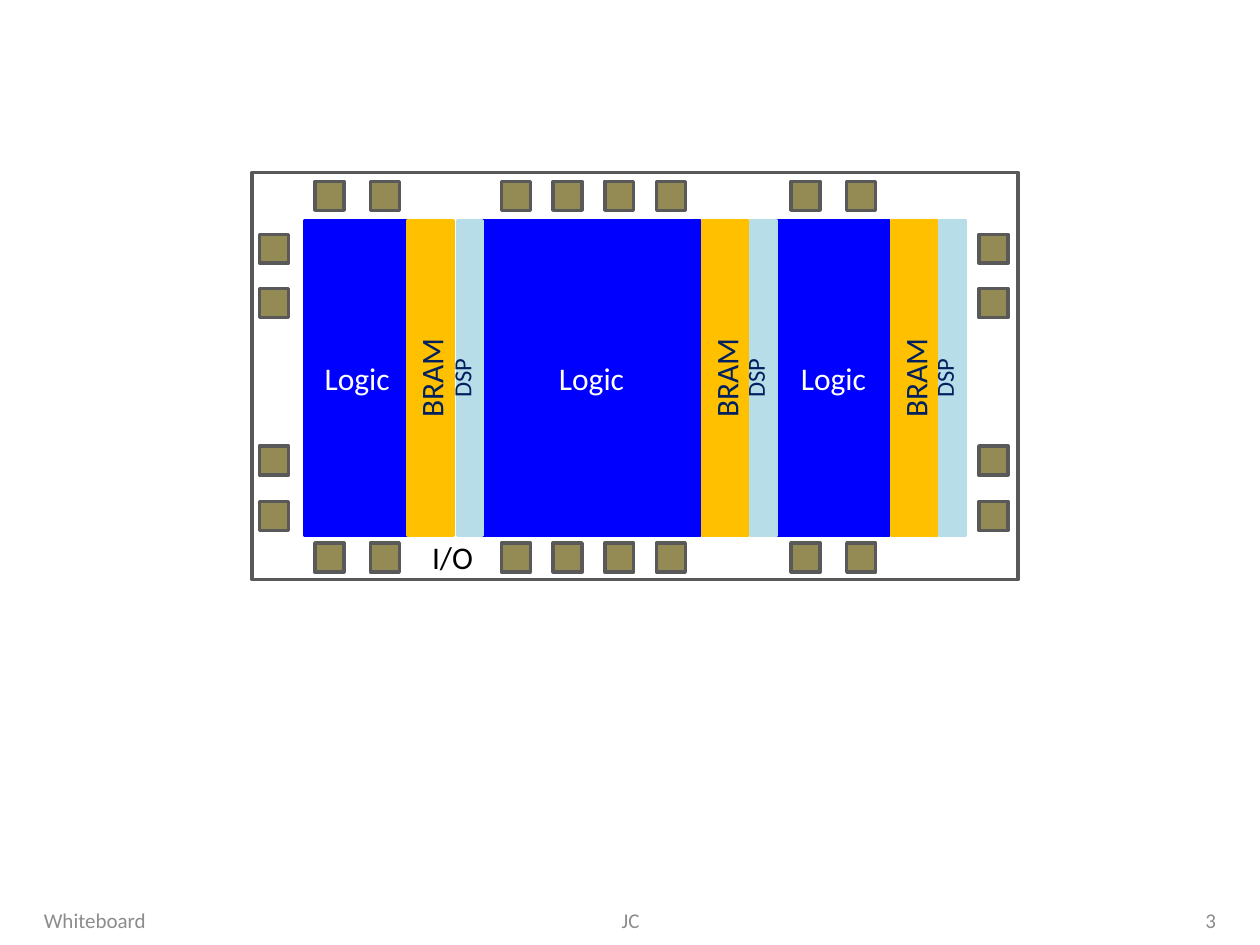
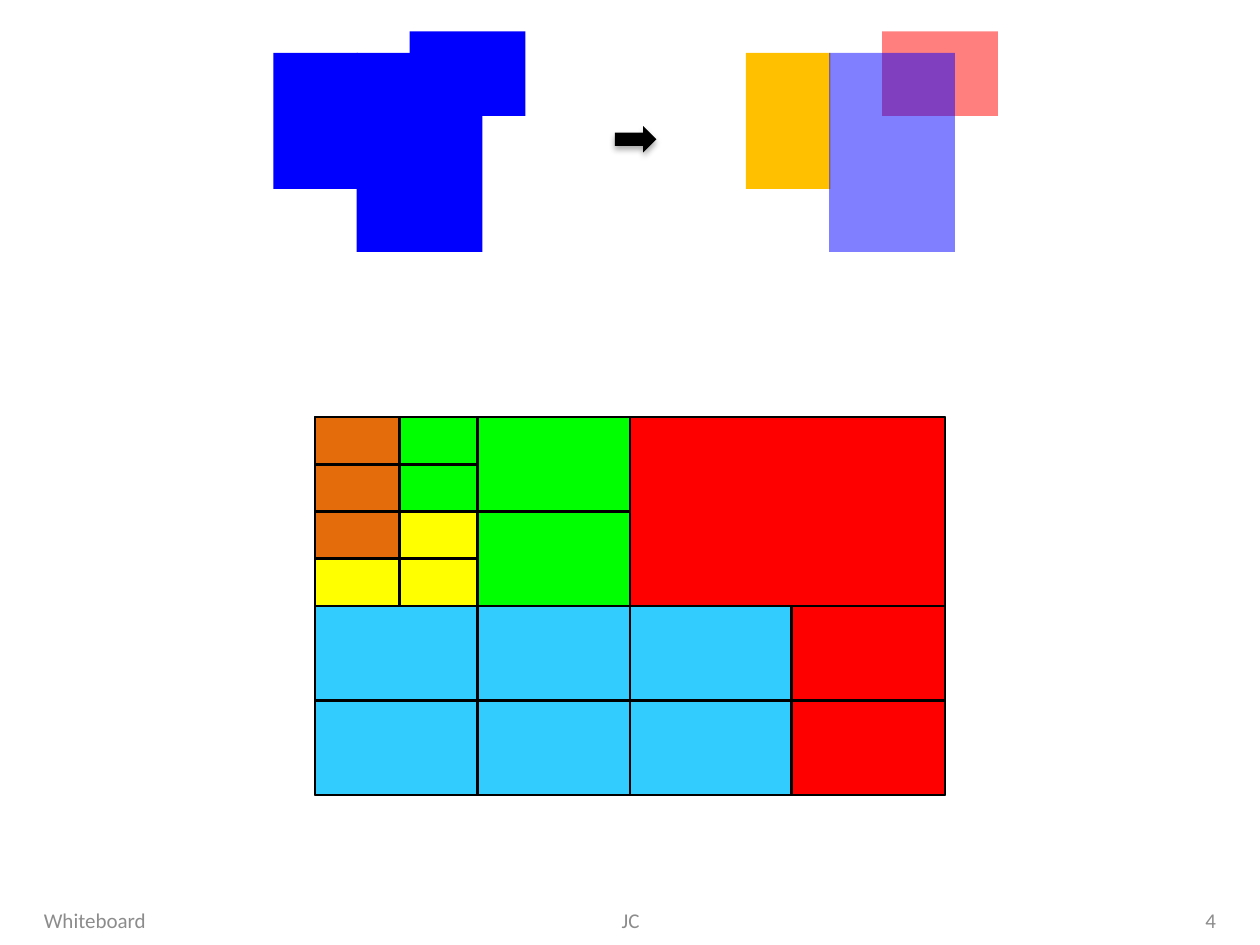
from dataclasses import dataclass
from itertools import product

from lxml.etree import SubElement
from pptx import Presentation
from pptx.dml.color import RGBColor
from pptx.enum.shapes import MSO_CONNECTOR as Connector, MSO_SHAPE as Shape
from pptx.enum.text import MSO_ANCHOR as Anchor, MSO_AUTO_SIZE as AutoSize, PP_ALIGN as Align
from pptx.oxml.ns import qn
from pptx.util import Inches, Pt


@dataclass(frozen=True)
class Theme:
    font: str = "Calibri"
    footer_size: int = 12
    label_size: int = 18
    narrow_size: int = 14
    chip_line: float = 2
    tile_line: float = 1.5
    black: str = "000000"
    white: str = "FFFFFF"
    navy: str = "002060"
    grey: str = "8C8C8C"
    outline: str = "595959"
    pad: str = "948A54"
    blue: str = "0000FF"
    amber: str = "FFC000"
    ice: str = "B7DEE8"
    red: str = "FF0000"
    orange: str = "E46C0A"
    yellow: str = "FFFF00"
    green: str = "00FF00"
    sky: str = "33CCFF"


THEME = Theme()
SLIDE_SIZE = (10, 7.5)

# Footer: text, left, width, alignment
FOOTER_TOP, FOOTER_HEIGHT = 7.1, 0.4
FOOTER = [("Whiteboard", 0.25, 2.33, Align.LEFT), ("JC", 3.42, 3.17, Align.CENTER)]
PAGE_NUMBER = (7.42, 2.33, Align.RIGHT)

# Chip floorplan
CHIP = (2, 1.37, 6.08, 3.23)
BLOCK_TOP, BLOCK_HEIGHT = 1.75, 2.5
BLOCK_COLOURS = {  # fill, text
    "Logic": (THEME.blue, THEME.white),
    "BRAM": (THEME.amber, THEME.navy),
    "DSP": (THEME.ice, THEME.navy),
}
BLOCKS = [  # label, left, width
    ("Logic", 2.42, 0.83), ("Logic", 3.83, 1.73), ("Logic", 6.17, 0.89),
    ("BRAM", 3.24, 0.36), ("DSP", 3.63, 0.2),
    ("BRAM", 5.58, 0.36), ("DSP", 5.96, 0.2),
    ("BRAM", 7.08, 0.36), ("DSP", 7.46, 0.2),
]
PAD_SIZE = 0.23
PAD_COLUMNS = [2.5, 2.94, 3.98, 4.39, 4.8, 5.21, 6.28, 6.72]
PAD_ROWS = [1.86, 2.29, 3.54, 3.98]
PAD_TOP_BOTTOM = [1.44, 4.31]
PAD_LEFT_RIGHT = [2.06, 7.77]
IO_LABEL = ("I/O", (3.43, 4.27, 0.33, 0.3))

# Overlapping regions: box, colour once split, opacity once split
REGIONS = [
    ((2.17, 0.42, 0.67, 1.08), THEME.amber, 100),
    ((3.25, 0.25, 0.92, 0.67), THEME.red, 50),
    ((2.83, 0.42, 1, 1.58), THEME.blue, 50),
]
SPLIT_OFFSET = 3.75
SPLIT_ARROW = (4.88, 1, 0.33, 0.21)

# Tiling: grid columns are uneven, grid rows are equal eighths
COLUMNS = [2.5, 3.17, 3.79, 5, 6.28, 7.5]
ROWS = [3.31 + 3 / 8 * row for row in range(9)]
TILES = {  # name: (first column, first row, last column, last row), fill
    "orange": ((0, 0, 1, 3), THEME.orange),
    "yellow corner": ((0, 3, 1, 4), THEME.yellow),
    "yellow": ((1, 2, 2, 4), THEME.yellow),
    "small green": ((1, 0, 2, 2), THEME.green),
    "green": ((2, 0, 3, 4), THEME.green),
    "sky": ((0, 4, 4, 8), THEME.sky),
    "low red": ((4, 4, 5, 8), THEME.red),
    "red": ((3, 0, 5, 4), THEME.red),
    "frame": ((0, 0, 5, 8), None),
}
TOP, LEFT, BOTTOM, RIGHT = range(4)
CUTS = [  # from (column, row), to (column, row), joint at start, joint at end
    ((3, 0), (3, 8), ("frame", TOP), ("frame", BOTTOM)),
    ((0, 4), (5, 4), ("frame", LEFT), ("frame", RIGHT)),
    ((2, 0), (2, 4), None, None),
    ((3, 2), (0, 2), ("green", RIGHT), None),
    ((2, 4), (2, 8), None, None),
    ((3, 6), (0, 6), None, ("sky", LEFT)),
    ((4, 4), (4, 8), None, None),
    ((5, 6), (3, 6), ("low red", RIGHT), None),
    ((1, 0), (1, 4), None, None),
    ((2, 3), (0, 3), ("yellow", RIGHT), None),
    ((2, 1), (0, 1), ("small green", RIGHT), None),
]


def rgb(colour):
    return RGBColor.from_string(colour)


def add_box(shapes, box, fill=None, line=None, width=1, kind=Shape.RECTANGLE):
    shape = shapes.add_shape(kind, *map(Inches, box))
    shape.shadow.inherit = False
    if fill:
        shape.fill.solid()
        shape.fill.fore_color.rgb = rgb(fill)
    else:
        shape.fill.background()
    if line:
        shape.line.color.rgb = rgb(line)
        shape.line.width = Pt(width)
    else:
        shape.line.fill.background()
    return shape


def write(frame, text, size, colour, align=Align.LEFT):
    paragraph = frame.paragraphs[0]
    paragraph.text = text
    paragraph.alignment = align
    paragraph.font.name = THEME.font
    paragraph.font.size = Pt(size)
    paragraph.font.color.rgb = rgb(colour)
    return paragraph


def set_opacity(shape, percent):
    colour = shape.element.spPr.find(qn("a:solidFill"))[0]
    SubElement(colour, qn("a:alpha"), val=str(percent * 1000))


def drop_shadow(shape):
    effects = shape.element.spPr.find(qn("a:effectLst"))
    shadow = SubElement(effects, qn("a:outerShdw"), blurRad=str(Pt(3.5)),
                        dist=str(Pt(2.2)), dir="5400000", rotWithShape="0")
    colour = SubElement(shadow, qn("a:srgbClr"), val=THEME.black)
    SubElement(colour, qn("a:alpha"), val="32000")


def add_slide(deck, number):
    """Add a blank slide with the shared footer."""
    slide = deck.slides.add_slide(deck.slide_layouts[6])
    for text, left, width, align in [*FOOTER, (str(number), *PAGE_NUMBER)]:
        footer = slide.shapes.add_textbox(
            *map(Inches, (left, FOOTER_TOP, width, FOOTER_HEIGHT))).text_frame
        footer.word_wrap = True
        footer.vertical_anchor = Anchor.MIDDLE
        write(footer, text, THEME.footer_size, THEME.grey, align)
    return slide


def add_block(shapes, label, left, width):
    fill, colour = BLOCK_COLOURS[label]
    block = add_box(shapes, (left, BLOCK_TOP, width, BLOCK_HEIGHT),
                    fill, fill, THEME.chip_line).text_frame
    block.vertical_anchor = Anchor.MIDDLE
    narrow = label == "DSP"
    size = THEME.narrow_size if narrow else THEME.label_size
    paragraph = write(block, label, size, colour, Align.CENTER)
    if label != "Logic":
        block._txBody.bodyPr.set("vert", "vert270")
    if narrow:
        block.vertical_anchor = Anchor.BOTTOM
        block.margin_top = block.margin_bottom = 0
        paragraph.line_spacing = Pt(12)


def draw_floorplan(slide):
    shapes = slide.shapes.add_group_shape().shapes
    for block in BLOCKS:
        add_block(shapes, *block)
    edge_pads = [(left, top) for top, left in product(PAD_TOP_BOTTOM, PAD_COLUMNS)]
    for left, top in [*edge_pads, *product(PAD_LEFT_RIGHT, PAD_ROWS)]:
        add_box(shapes, (left, top, PAD_SIZE, PAD_SIZE),
                THEME.pad, THEME.outline, THEME.chip_line)
    add_box(shapes, CHIP, None, THEME.outline, THEME.chip_line)

    text, box = IO_LABEL
    io = shapes.add_textbox(*map(Inches, box)).text_frame
    io.margin_left = io.margin_top = io.margin_right = io.margin_bottom = 0
    io.word_wrap = False
    io.auto_size = AutoSize.SHAPE_TO_FIT_TEXT
    write(io, text, THEME.label_size, THEME.black)


def draw_split(slide):
    """Show one merged outline turning into its separate regions."""
    shapes = slide.shapes.add_group_shape().shapes
    for box, _, _ in REGIONS:
        add_box(shapes, box, THEME.blue)
    drop_shadow(add_box(shapes, SPLIT_ARROW, THEME.black, kind=Shape.RIGHT_ARROW))
    for (left, *rest), colour, opacity in REGIONS:
        region = add_box(shapes, (left + SPLIT_OFFSET, *rest), colour)
        if opacity < 100:
            set_opacity(region, opacity)


def draw_tiling(slide):
    shapes = slide.shapes.add_group_shape().shapes
    tiles = {}
    for name, ((first_col, first_row, last_col, last_row), fill) in TILES.items():
        left, top = COLUMNS[first_col], ROWS[first_row]
        box = (left, top, COLUMNS[last_col] - left, ROWS[last_row] - top)
        tiles[name] = add_box(shapes, box, fill, THEME.black, THEME.tile_line)

    for (col_a, row_a), (col_b, row_b), start, end in CUTS:
        points = (COLUMNS[col_a], ROWS[row_a], COLUMNS[col_b], ROWS[row_b])
        cut = shapes.add_connector(Connector.STRAIGHT, *map(Inches, points))
        cut.line.color.rgb = rgb(THEME.black)
        cut.line.width = Pt(THEME.tile_line)
        SubElement(cut.element.spPr, qn("a:effectLst"))
        for joint, connect in ((start, cut.begin_connect), (end, cut.end_connect)):
            if joint:
                name, side = joint
                connect(tiles[name], side)


def main():
    deck = Presentation()
    deck.slide_width, deck.slide_height = map(Inches, SLIDE_SIZE)
    draw_floorplan(add_slide(deck, 3))
    regions = add_slide(deck, 4)
    draw_split(regions)
    draw_tiling(regions)
    deck.save("out.pptx")


if __name__ == "__main__":
    main()
